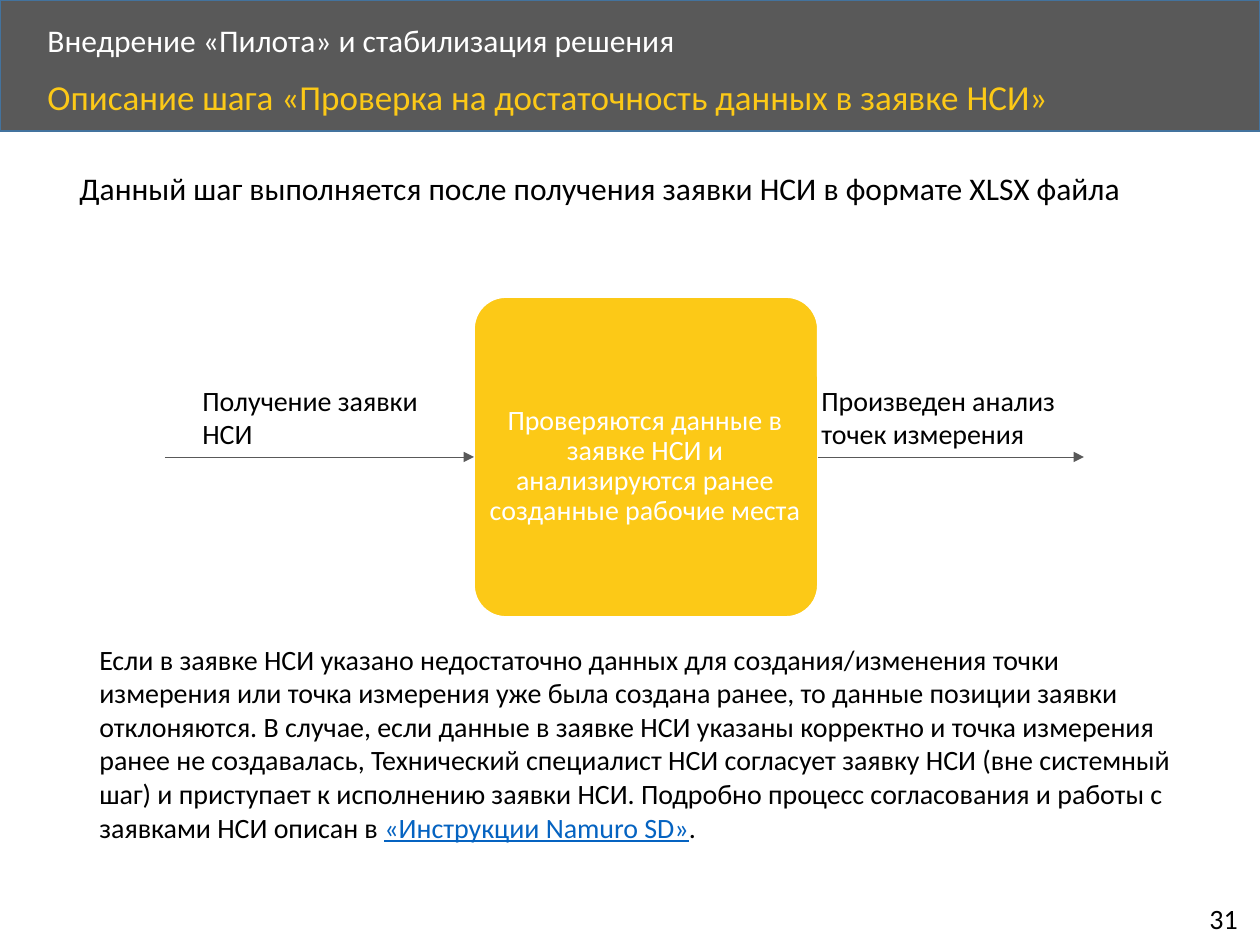
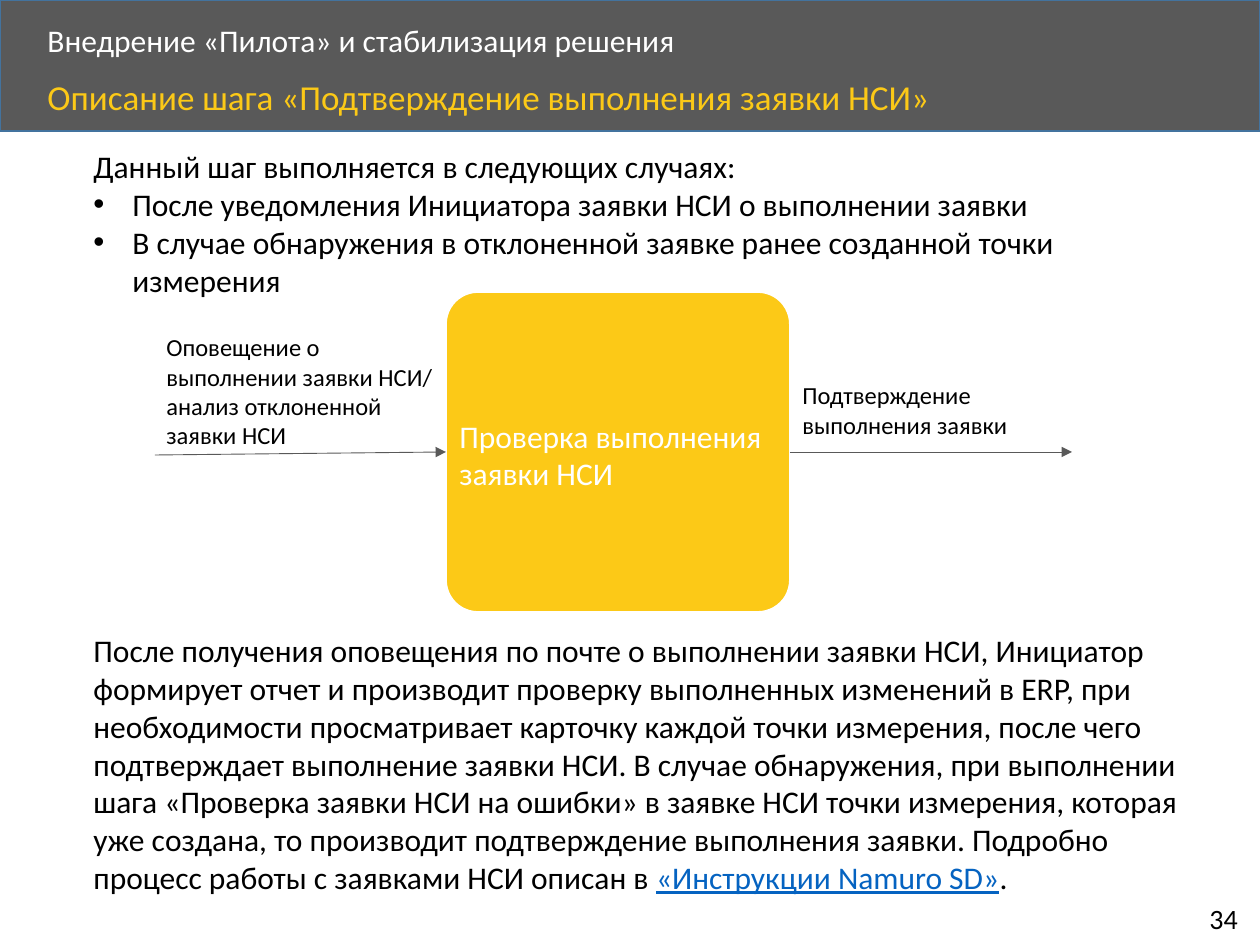
from lxml import etree
from pptx import Presentation
from pptx.dml.color import RGBColor
from pptx.enum.shapes import MSO_CONNECTOR, MSO_SHAPE
from pptx.enum.text import MSO_ANCHOR, PP_ALIGN
from pptx.oxml.ns import qn
from pptx.util import Emu, Pt

PX = 914400 // 126  # EMU per pixel
SLIDE_WIDTH, SLIDE_HEIGHT = 1260, 945
STRAIGHT = MSO_CONNECTOR.STRAIGHT
RECTANGLE, ROUNDED = MSO_SHAPE.RECTANGLE, MSO_SHAPE.ROUNDED_RECTANGLE
TOP, MIDDLE = MSO_ANCHOR.TOP, MSO_ANCHOR.MIDDLE
LEFT, CENTER = PP_ALIGN.LEFT, PP_ALIGN.CENTER
LEFT_SIDE, RIGHT_SIDE = 1, 3

FONT = "Calibri"
COLORS = {
    "band": "595959",
    "band_line": "43739E",
    "accent": "FCC917",
    "white": "FFFFFF",
    "text": "000000",
    "link": "0563C1",
}
SECTION = "Внедрение «Пилота» и стабилизация решения"
INSTRUCTION = "«Инструкции Namuro SD»"
STEP_WIDTH, STEP_HEIGHT = 344, 320
BULLET_INDENT = 39


def px(value):
    return Emu(value * PX)


def color(name):
    return RGBColor.from_string(COLORS[name])


def style(paragraph, size, color_name, align=LEFT, spacing=None):
    paragraph.alignment = align
    if spacing:
        paragraph.line_spacing = spacing
    font = paragraph.font
    font.name, font.size = FONT, Pt(size)
    font.color.rgb = color(color_name)


def add_text(slide, box, text, size, color_name="text", anchor=TOP,
             spacing=None, wrap=True):
    """Text box with one styled paragraph; returns its text frame."""
    frame = slide.shapes.add_textbox(*map(px, box)).text_frame
    frame.word_wrap = wrap
    frame.vertical_anchor = anchor
    paragraph = frame.paragraphs[0]
    paragraph.add_run().text = text
    style(paragraph, size, color_name, spacing=spacing)
    return frame


def add_bullet(frame, text, size):
    paragraph = frame.add_paragraph()
    properties = paragraph._p.get_or_add_pPr()
    properties.set("marL", str(px(BULLET_INDENT)))
    properties.set("indent", str(-px(BULLET_INDENT)))
    bullet_font = etree.SubElement(properties, qn("a:buFont"))
    bullet_font.set("typeface", "Arial")
    etree.SubElement(properties, qn("a:buChar")).set("char", "•")
    paragraph.text = text
    style(paragraph, size, "text")


def add_description(slide, box, text, size):
    """Closing text that ends with the underlined instruction name."""
    paragraph = add_text(slide, box, text + " ", size).paragraphs[0]
    link = paragraph.add_run()
    link.text = INSTRUCTION
    link.font.underline = True
    link.font.color.rgb = color("link")
    paragraph.add_run().text = "."


def add_filled_shape(slide, kind, box, fill, line):
    shape = slide.shapes.add_shape(kind, *map(px, box))
    shape.shadow.inherit = False
    shape.fill.solid()
    shape.fill.fore_color.rgb = color(fill)
    shape.line.color.rgb = color(line)
    shape.line.width = Pt(1)
    return shape


def add_step(slide, left, top, text, size, margins, align=LEFT, spacing=None):
    """Rounded process step; margins are left, top, right, bottom."""
    box = (left, top, STEP_WIDTH, STEP_HEIGHT)
    step = add_filled_shape(slide, ROUNDED, box, "accent", "white")
    step.adjustments[0] = 0.1
    frame = step.text_frame
    frame.word_wrap = True
    frame.vertical_anchor = MIDDLE
    (frame.margin_left, frame.margin_top,
     frame.margin_right, frame.margin_bottom) = map(px, margins)
    frame.text = text
    style(frame.paragraphs[0], size, "white", align, spacing)
    return step


def add_arrow(slide, start, end):
    arrow = slide.shapes.add_connector(STRAIGHT, *map(px, start + end))
    arrow.line.color.rgb = color("band")
    arrow.line.width = Pt(0.5)
    line = arrow.line._get_or_add_ln()
    etree.SubElement(line, qn("a:tailEnd")).set("type", "triangle")
    etree.SubElement(arrow._element.spPr, qn("a:effectLst"))
    return arrow


def add_flow(slide, step, start, end):
    """Arrows into and out of the step."""
    middle = (step.top + step.height // 2) // PX
    left, right = step.left // PX, (step.left + step.width) // PX
    incoming = add_arrow(slide, start, (left, middle))
    incoming.end_connect(step, LEFT_SIDE)
    outgoing = add_arrow(slide, (right, middle), end)
    outgoing.begin_connect(step, RIGHT_SIDE)


def add_page(presentation, title, number):
    """Blank slide with the header band, title and page number."""
    slide = presentation.slides.add_slide(presentation.slide_layouts[6])
    add_filled_shape(slide, RECTANGLE, (0, 0, SLIDE_WIDTH, 131),
                     "band", "band_line")
    add_text(slide, (35, 18, 1017, 48), SECTION, 18, "white", MIDDLE, 0.9)
    add_text(slide, (35, 74, 1092, 57), title, 20, "accent", spacing=0.9)
    add_text(slide, (1197, 895, 58, 47), number, 16, wrap=False)
    return slide


def build_data_check(presentation):
    slide = add_page(
        presentation,
        "Описание шага «Проверка на достаточность данных в заявке НСИ»", "31")
    add_text(slide, (67, 163, 1119, 50),
             "Данный шаг выполняется после получения заявки НСИ "
             "в формате XLSX файла", 18)
    # Process step
    step = add_step(slide, 474, 297,
                    "Проверяются данные в заявке НСИ и анализируются "
                    "ранее созданные рабочие места",
                    16, (1, 19, 3, 0), CENTER, 0.9)
    add_flow(slide, step, (165, 457), (1084, 457))
    add_text(slide, (190, 377, 294, 81), "Получение заявки НСИ", 16)
    add_text(slide, (809, 377, 319, 81),
             "Произведен анализ точек измерения", 16)
    # Description
    add_description(
        slide, (87, 636, 1119, 217),
        "Если в заявке НСИ указано недостаточно данных для "
        "создания/изменения точки измерения или точка измерения уже была "
        "создана ранее, то данные позиции заявки отклоняются. В случае, если "
        "данные в заявке НСИ указаны корректно и точка измерения ранее не "
        "создавалась, Технический специалист НСИ согласует заявку НСИ (вне "
        "системный шаг) и приступает к исполнению заявки НСИ. Подробно "
        "процесс согласования и работы c заявками НСИ описан в", 16)


def build_confirmation(presentation):
    slide = add_page(
        presentation,
        "Описание шага «Подтверждение выполнения заявки НСИ»", "34")
    # Cases
    cases = add_text(slide, (81, 141, 1102, 165),
                     "Данный шаг выполняется в следующих случаях:", 18)
    for case in (
        "После уведомления Инициатора заявки НСИ о выполнении заявки",
        "В случае обнаружения в отклоненной заявке ранее созданной точки "
        "измерения",
    ):
        add_bullet(cases, case, 18)
    # Process step
    step = add_step(slide, 446, 292, "Проверка выполнения заявки НСИ",
                    18, (4, 5, 2, 0))
    add_flow(slide, step, (155, 455), (1072, 452))
    add_text(slide, (154, 326, 291, 131),
             "Оповещение о выполнении заявки НСИ/ "
             "анализ отклоненной заявки НСИ", 14)
    add_text(slide, (790, 374, 237, 72), "Подтверждение выполнения заявки", 14)
    # Description
    add_description(
        slide, (81, 625, 1128, 280),
        "После получения оповещения по почте о выполнении заявки НСИ, "
        "Инициатор формирует отчет и производит проверку выполненных "
        "изменений в ERP, при необходимости просматривает карточку каждой "
        "точки измерения, после чего подтверждает выполнение заявки НСИ. В "
        "случае обнаружения, при выполнении шага «Проверка заявки НСИ на "
        "ошибки» в заявке НСИ точки измерения, которая уже создана, то "
        "производит подтверждение выполнения заявки. Подробно процесс работы "
        "c заявками НСИ описан в", 18)


def main():
    presentation = Presentation()
    presentation.slide_width = px(SLIDE_WIDTH)
    presentation.slide_height = px(SLIDE_HEIGHT)
    build_data_check(presentation)
    build_confirmation(presentation)
    presentation.save("out.pptx")


if __name__ == "__main__":
    main()
